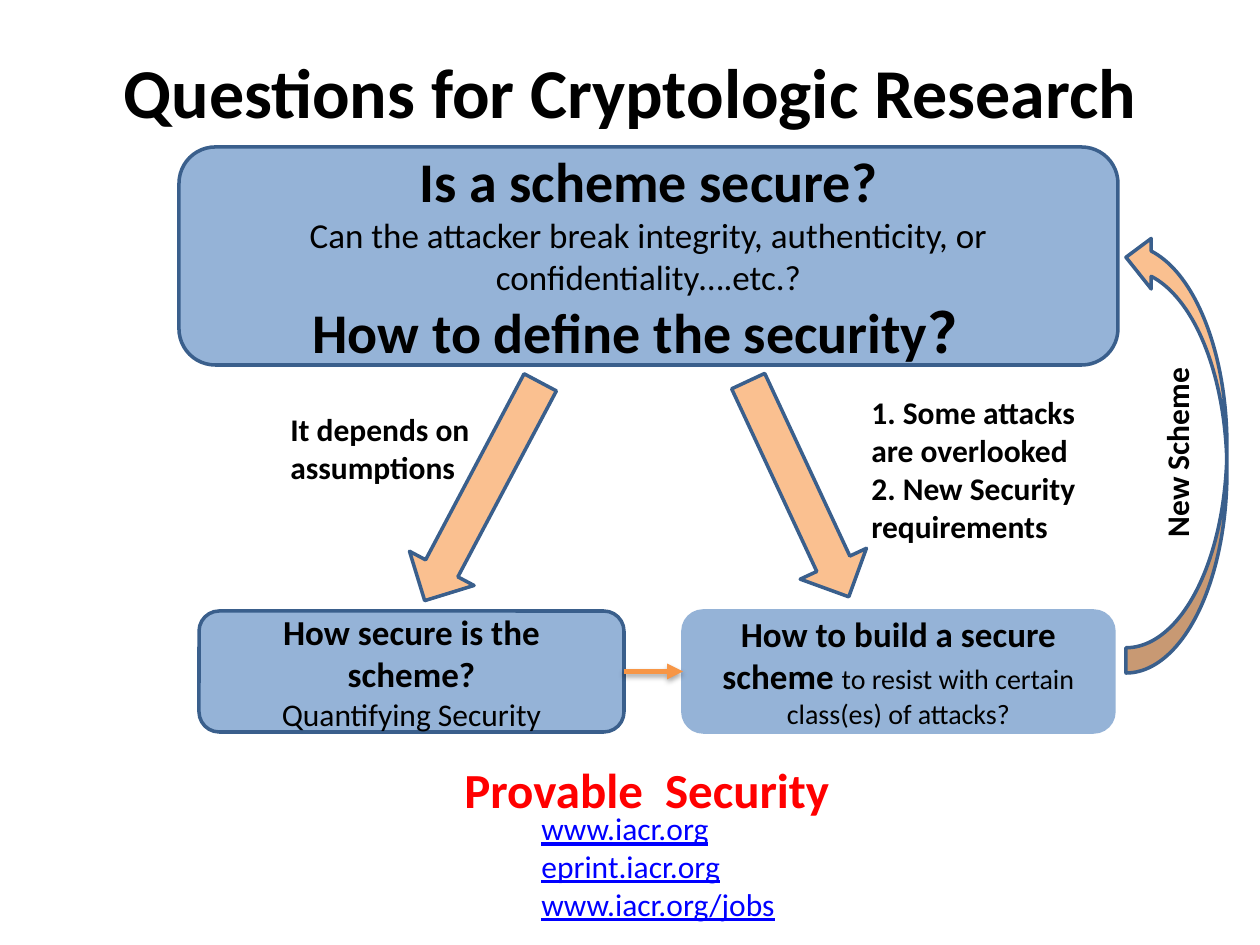
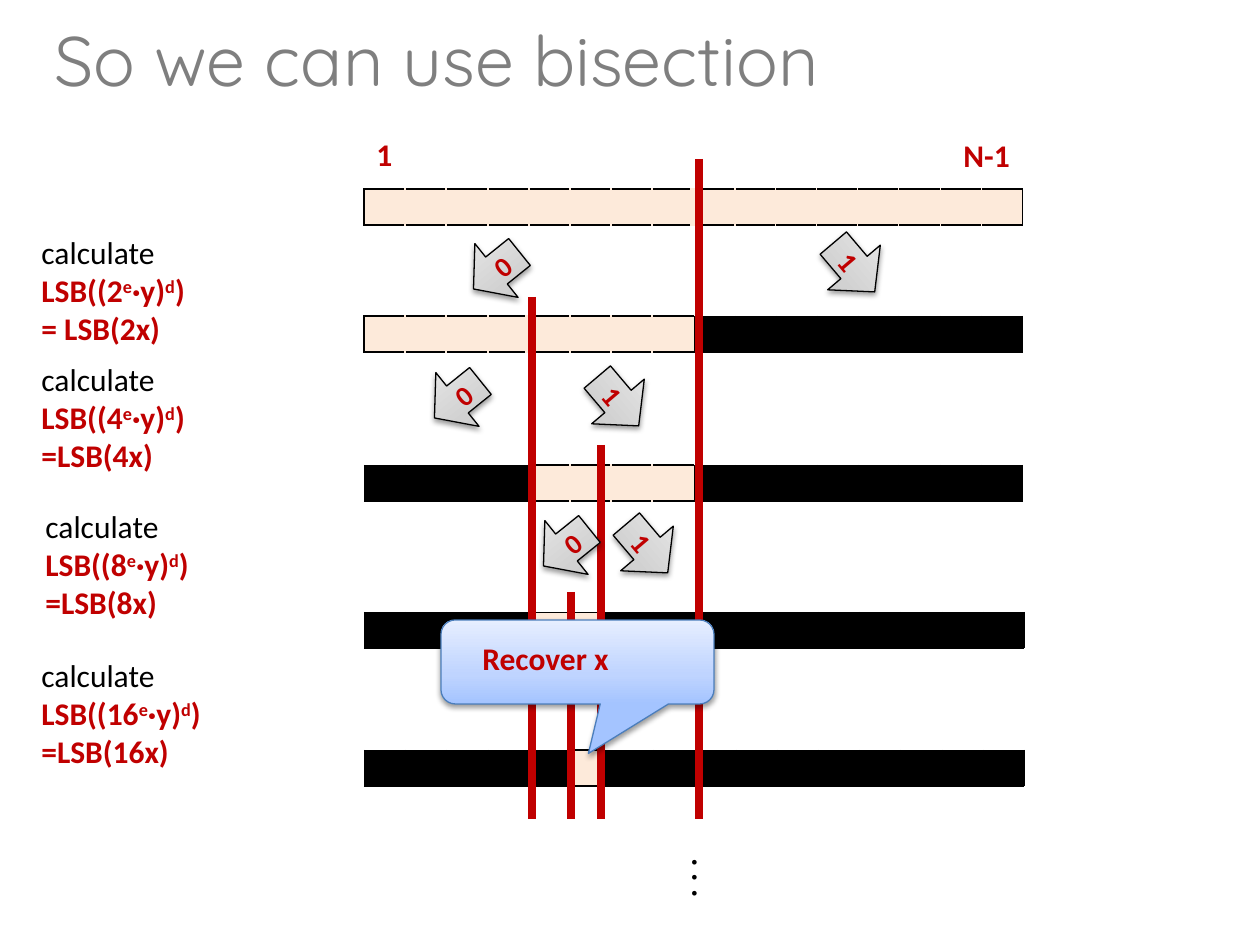
import pptx
import pptx.util
import pptx.dml.color
import pptx.enum.shapes
import pptx.enum.text
import pptx.oxml
import pptx.oxml.ns
from lxml import etree

# Theme: colours and type styles
PX = 914400 / 126
THEME = {
    "blue": "95B3D7", "edge": "3A5F8C", "peach": "FAC090", "orange": "F79646",
    "black": "000000", "red": "C00000", "cream": "FDEADA", "callout edge": "4B7EBC",
    "silver": [(0, "BDBDBD"), (35, "D1D1D1"), (100, "EEEEEE")],
    "sky": [(0, "A4C4FF"), (35, "BFD4FF"), (100, "E6EEFF")],
}
BASE = {"name": "Calibri", "size": 18, "bold": False, "color": "000000"}
STYLES = {
    "title": {"size": 40, "bold": True},
    "light title": {"size": 40, "name": "Quicksand", "color": "7F7F7F"},
    "question": {"size": 32, "bold": True},
    "detail": {"size": 20},
    "step": {"size": 20, "bold": True},
    "body": {},
    "small": {"size": 16},
    "label": {"bold": True},
    "slogan": {"size": 28, "bold": True, "color": "FF0000"},
    "link": {"color": "0000FF", "underline": True},
    "accent": {"bold": True, "color": "C00000"},
    "raised": {"bold": True, "color": "C00000", "baseline": 30},
    "bit": {"size": 16, "bold": True, "color": "C00000"},
}

# Slide 1 content: each paragraph is a list of (text, style)
RESEARCH_TITLE = [[("Questions for Cryptologic Research", "title")]]
QUESTION_BOXES = {  # name: (place, line colour, paragraphs)
    "security": ((179, 147, 939, 218), "edge", [
        [("Is a scheme secure?", "question")],
        [("Can the attacker break integrity, authenticity, or confidentiality….etc.?", "detail")],
        [("How to define the security？", "question")]]),
    "measure": ((199, 611, 425, 121), "edge", [
        [("How secure is the scheme?", "step")],
        [("Quantifying Security", "body")]]),
    "build": ((683, 611, 431, 121), "blue", [
        [("How to build a secure scheme ", "step"),
         ("to resist with certain class(es) of attacks?", "small")]]),
}
FLOW_ARROWS = [  # preset, place, rotation, paragraphs
    ("DOWN_ARROW", (446, 368, 73, 247), 27.9, []),
    ("DOWN_ARROW", (762, 370, 73, 238), 335, []),
    ("CURVED_UP_ARROW", (956, 402, 441, 101), 270, [[("New Scheme", "label")]]),
]
RESEARCH_NOTES = [  # place, style, lines
    ((859, 387, 239, 165), "label",
     ["1. Some attacks", "are overlooked", "2. New Security", "requirements"]),
    ((278, 404, 213, 89), "label", ["It depends on", "assumptions"]),
    ((529, 803, 261, 127), "link", ["www.iacr.org", "eprint.iacr.org", "www.iacr.org/jobs"]),
]

# Slide 2 content
BISECTION_TITLE = [[("So we can use bisection", "light title")]]
BAR_LEFT, BAR_WIDTH, BAR_HEIGHT, BAR_CELLS = 364, 659, 36, 16
BARS = [  # top, live cells from/to, cut, left, right and top widths, shift of edge 6
    (189, 0, 16, 8, 1, 1, 1, 0),
    (316, 0, 8, 4, 1, 0.25, 1, 0),
    (465, 4, 8, None, 0.25, 0.25, 1, 0),
    (612, 4, 6, None, 0.25, 0.25, 0.25, -12),
    (750, 5, 6, None, 0.25, 0.25, 1, -12),
]
CUTS = [(699, 159), (532, 297), (601, 445), (571, 592)]  # x, top
CUT_BOTTOM = 819
RANGE_LABELS = [  # place, rotation, style, text
    ((364, 129, 42, 50), 0, "accent", "1"),
    ((951, 130, 72, 50), 0, "accent", "N-1"),
    ((672, 854, 66, 50), 90, "label", ". . ."),
]
CALCULATIONS = [  # place, factor, equals sign
    ((29, 227, 173, 127), 2, "= "),
    ((29, 354, 173, 127), 4, "="),
    ((33, 501, 173, 127), 8, "="),
    ((29, 650, 189, 127), 16, "="),
]
BIT_ARROWS = [((467, 236), (822, 233)), ((428, 365), (586, 367)), ((537, 513), (615, 514))]
BIT_KINDS = [("0", "LEFT_ARROW", 59, 321.2), ("1", "RIGHT_ARROW", 64, 49.7)]


def emu(pixels):
    return pptx.util.Emu(round(pixels * PX))


def rgb(colour):
    return pptx.dml.color.RGBColor.from_string(colour)


def add_xml(parent, tag, **attributes):
    node = etree.SubElement(parent, pptx.oxml.ns.qn(tag))
    for key, value in attributes.items():
        node.set(key, str(value))
    return node


def write(frame, paragraphs, align):
    for index, spans in enumerate(paragraphs):
        para = frame.paragraphs[0] if index == 0 else frame.add_paragraph()
        para.alignment = getattr(pptx.enum.text.PP_ALIGN, align)
        for text, style in spans:
            span = para.add_run()
            span.text = text
            formats = {**BASE, **STYLES[style]}
            span.font.color.rgb = rgb(formats.pop("color"))
            formats["size"] = pptx.util.Pt(formats["size"])
            raised = formats.pop("baseline", 0)
            for key, value in formats.items():
                setattr(span.font, key, value)
            if raised:
                span._r.get_or_add_rPr().set("baseline", str(raised * 1000))


def add_text(page, place, paragraphs, wrap=False, align="LEFT", rotation=0):
    box = page.shapes.add_textbox(*map(emu, place))
    box.rotation = rotation
    box.text_frame.word_wrap = wrap
    if not wrap:
        box.text_frame.auto_size = pptx.enum.text.MSO_AUTO_SIZE.SHAPE_TO_FIT_TEXT
    write(box.text_frame, paragraphs, align)
    return box


def add_shadow(effects, alpha, distance):
    shadow = add_xml(effects, "a:outerShdw", blurRad=pptx.util.Pt(3.1),
                     dist=pptx.util.Pt(distance), dir=90 * 60000, rotWithShape=0)
    add_xml(add_xml(shadow, "a:srgbClr", val=THEME["black"]), "a:alpha", val=alpha * 1000)


def add_block(page, preset, place, fill, line, width, paragraphs=(), rotation=0):
    kind = getattr(pptx.enum.shapes.MSO_SHAPE, preset)
    block = page.shapes.add_shape(kind, *map(emu, place))
    block.rotation = rotation
    block.line.color.rgb = rgb(THEME[line])
    block.line.width = pptx.util.Pt(width)
    block.shadow.inherit = False
    properties = block.element.spPr
    if isinstance(THEME[fill], list):  # gradient blocks also cast a shadow
        block.fill.gradient()
        block.fill.gradient_angle = 90
        stops = properties.find(".//" + pptx.oxml.ns.qn("a:gsLst"))
        for stop in list(stops):
            stops.remove(stop)
        for position, colour in THEME[fill]:
            add_xml(add_xml(stops, "a:gs", pos=position * 1000), "a:srgbClr", val=colour)
        add_shadow(properties.find(pptx.oxml.ns.qn("a:effectLst")), 38, 1.6)
    else:
        block.fill.solid()
        block.fill.fore_color.rgb = rgb(THEME[fill])
    write(block.text_frame, paragraphs, "CENTER")
    return block


def add_line(page, start, end, colour, width):
    """Return the connector and its empty effect list."""
    line = page.shapes.add_connector(pptx.enum.shapes.MSO_CONNECTOR.STRAIGHT,
                                     *map(emu, start + end))
    line.line.color.rgb = rgb(THEME[colour])
    line.line.width = pptx.util.Pt(width)
    return line, add_xml(line.element.spPr, "a:effectLst")


def style_cell(cell, fill, borders):
    cell.fill.solid()
    cell.fill.fore_color.rgb = rgb(THEME[fill])
    add_xml(cell.text_frame.paragraphs[0]._p, "a:endParaRPr", sz=800)
    properties = cell._tc.get_or_add_tcPr()
    for index, side in enumerate("LRTB"):
        colour, width = borders[side]
        border = add_xml(properties, "a:ln" + side, w=pptx.util.Pt(width))
        add_xml(add_xml(border, "a:solidFill"), "a:srgbClr", val=THEME[colour])
        properties.insert(index, border)


def add_bar(page, top, first, last, cut, left_width, right_width, edge_width, shift):
    frame = page.shapes.add_table(1, BAR_CELLS, *map(emu, (BAR_LEFT, top, BAR_WIDTH, BAR_HEIGHT)))
    table = frame.table
    table.first_row = table.horz_banding = False
    edges = [round(BAR_WIDTH * index / BAR_CELLS) for index in range(BAR_CELLS + 1)]
    edges[6] += shift

    def side(edge):
        if edge == first:
            return "black", left_width
        if edge == last:
            return "black", right_width
        if first < edge < last:
            return "cream", 4.5 if edge == cut else min(1, edge_width)
        return "black", 0.25

    for index in range(BAR_CELLS):
        table.columns[index].width = emu(edges[index + 1] - edges[index])
        live = first <= index < last
        rim = ("black", edge_width if live else 0.25)
        style_cell(table.cell(0, index), "cream" if live else "black",
                   {"L": side(index), "R": side(index + 1), "T": rim, "B": rim})


def build_research(page):
    title = add_text(page, (63, 38, 1134, 158), RESEARCH_TITLE, True, "CENTER")
    title.text_frame.margin_top = emu(10)
    boxes = {name: add_block(page, "ROUNDED_RECTANGLE", place, "blue", line, 2, paragraphs)
             for name, (place, line, paragraphs) in QUESTION_BOXES.items()}
    for preset, place, rotation, paragraphs in FLOW_ARROWS:
        add_block(page, preset, place, "peach", "edge", 2, paragraphs, rotation)
    add_text(page, (452, 753, 461, 72), [[("Provable  Security", "slogan")]], True)
    for place, style, lines in RESEARCH_NOTES:
        add_text(page, place, [[(line, style)] for line in lines])

    # Arrow from measuring to building
    arrow, effects = add_line(page, (624, 672), (683, 672), "orange", 3)
    arrow.begin_connect(boxes["measure"], 3)
    arrow.end_connect(boxes["build"], 1)
    add_xml(arrow.element.spPr.find(pptx.oxml.ns.qn("a:ln")), "a:tailEnd", type="triangle")
    add_shadow(effects, 35, 1.8)


def build_bisection(page):
    # Bars and cuts
    for bar in BARS:
        add_bar(page, *bar)
    for x, top in CUTS:
        add_line(page, (x, top), (x, CUT_BOTTOM), "red", 4.5)

    # Labels
    for place, rotation, style, text in RANGE_LABELS:
        add_text(page, place, [[(text, style)]], rotation=rotation)
    for place, factor, equals in CALCULATIONS:
        add_text(page, place, [
            [("calculate", "body")],
            [(f"LSB(({factor}", "accent"), ("e", "raised"), ("·y)", "accent"),
             ("d", "raised"), (")", "accent")],
            [(f"{equals}LSB({factor}x)", "accent")]])

    # Bit arrows
    for corners in BIT_ARROWS:
        for corner, (bit, preset, width, rotation) in zip(corners, BIT_KINDS):
            arrow = add_block(page, preset, corner + (width, 69), "silver", "black", 0.75,
                              [[(bit, "bit")]], rotation)
            for margin in ("left", "right", "top", "bottom"):
                setattr(arrow.text_frame, "margin_" + margin, 0)

    # Title and callout
    add_text(page, (42, 10, 1176, 97), BISECTION_TITLE, True)
    callout = add_block(page, "ROUNDED_RECTANGULAR_CALLOUT", (441, 620, 273, 84),
                        "sky", "callout edge", 0.75)
    for index, value in enumerate((0.04, 1.09, 0.17)):
        callout.adjustments[index] = value
    add_text(page, (470, 633, 231, 50), [[("Recover x", "accent")]], True)


def main():
    deck = pptx.Presentation()
    deck.slide_width, deck.slide_height = emu(1260), emu(945)
    for build in (build_research, build_bisection):
        build(deck.slides.add_slide(deck.slide_layouts[6]))
    deck.save("out.pptx")


if __name__ == "__main__":
    main()
